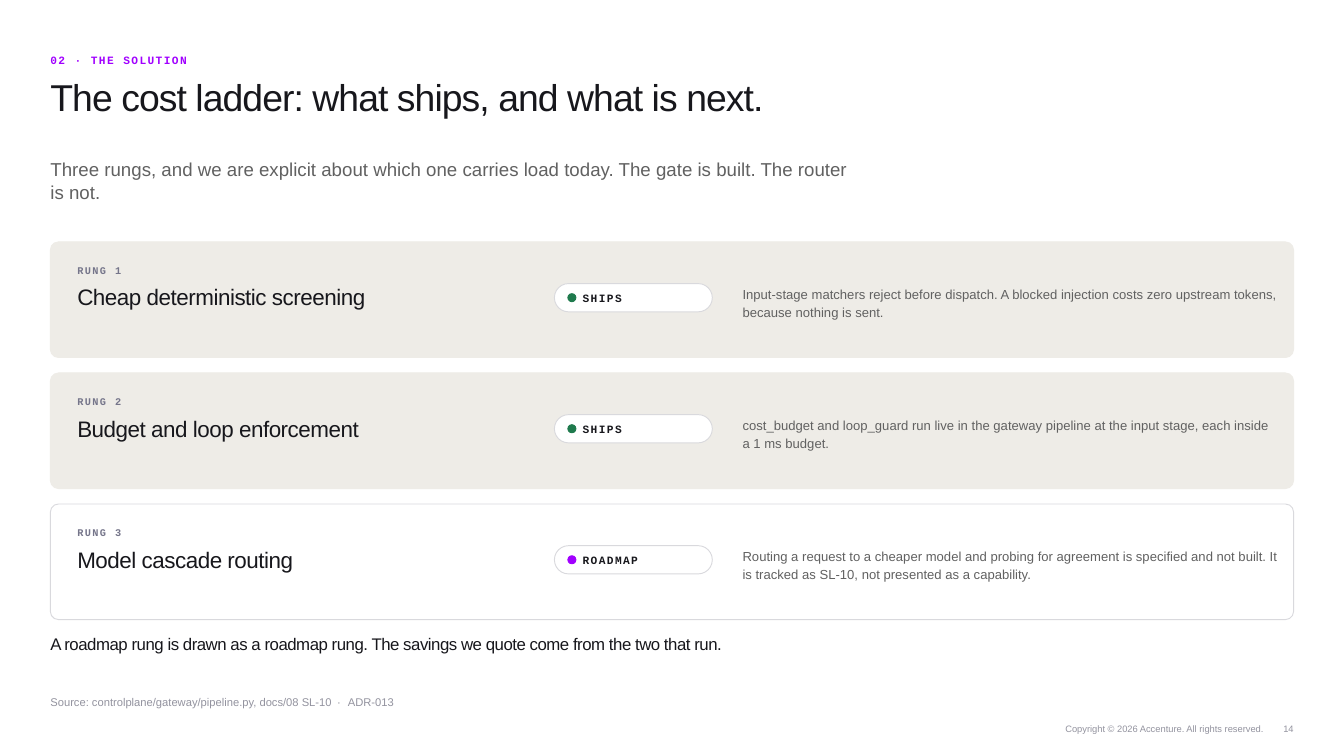
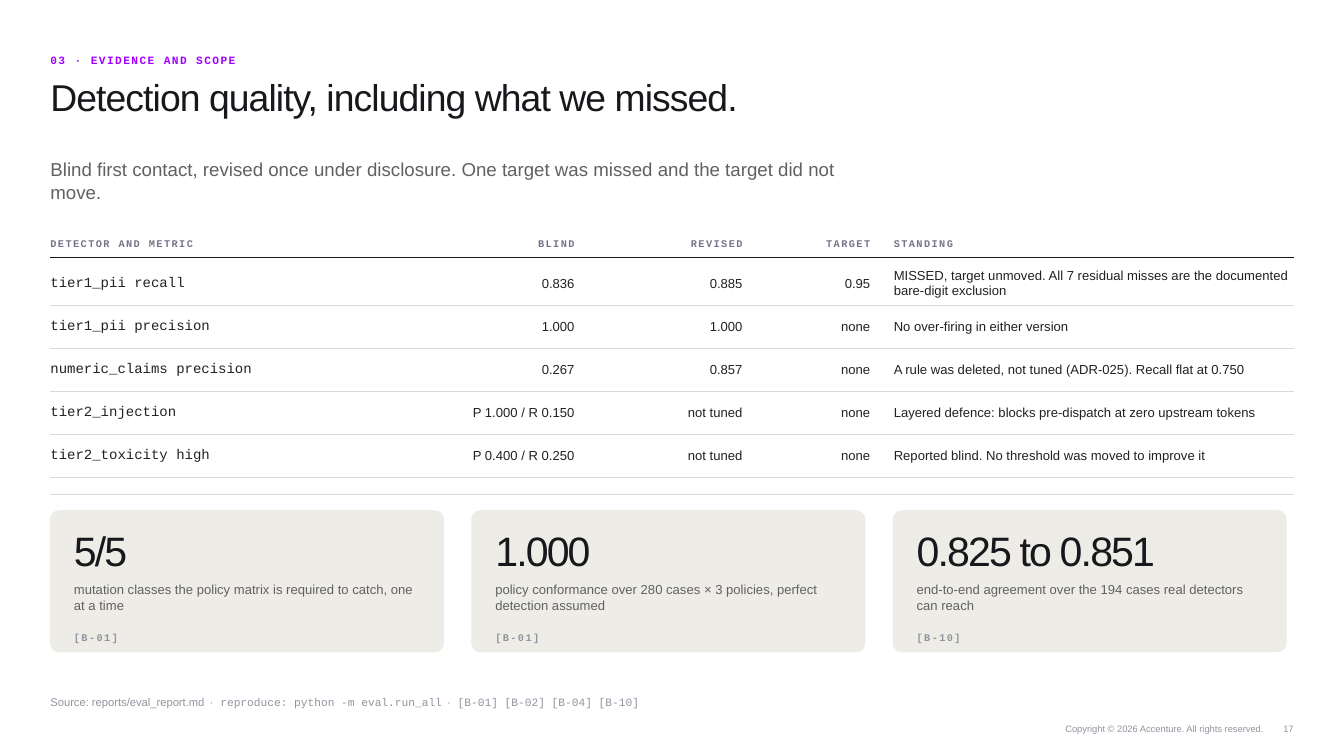
from collections import namedtuple
from itertools import accumulate

from lxml.etree import SubElement
from pptx import Presentation
from pptx.dml.color import RGBColor
from pptx.enum.shapes import MSO_CONNECTOR, MSO_SHAPE
from pptx.enum.text import MSO_ANCHOR, MSO_AUTO_SIZE, PP_ALIGN
from pptx.oxml.ns import qn
from pptx.util import Inches, Pt

# Content
LADDER = dict(
    label="02 · THE SOLUTION",
    title="The cost ladder: what ships, and what is next.",
    lead="Three rungs, and we are explicit about which one carries load today. "
         "The gate is built. The router is not.",
    source=[("Source: controlplane/gateway/pipeline.py, docs/08 SL-10", "source"),
            ("ADR-013", "source")],
    page="14")
RUNGS = [
    ("Cheap deterministic screening", "SHIPS",
     "Input-stage matchers reject before dispatch. A blocked injection costs zero "
     "upstream tokens, because nothing is sent."),
    ("Budget and loop enforcement", "SHIPS",
     "cost_budget and loop_guard run live in the gateway pipeline at the input stage, "
     "each inside a 1 ms budget."),
    ("Model cascade routing", "ROADMAP",
     "Routing a request to a cheaper model and probing for agreement is specified and "
     "not built. It is tracked as SL-10, not presented as a capability."),
]
CLOSING = ("A roadmap rung is drawn as a roadmap rung. "
           "The savings we quote come from the two that run.")

QUALITY = dict(
    label="03 · EVIDENCE AND SCOPE",
    title="Detection quality, including what we missed.",
    lead="Blind first contact, revised once under disclosure. "
         "One target was missed and the target did not move.",
    source=[("Source: reports/eval_report.md", "source"),
            ("reproduce: python -m eval.run_all", "command"),
            ("[B-01] [B-02] [B-04] [B-10]", "command")],
    page="17")
METRICS = [
    ("DETECTOR AND METRIC", "BLIND", "REVISED", "TARGET", "STANDING"),
    ("tier1_pii recall", "0.836", "0.885", "0.95",
     "MISSED, target unmoved. All 7 residual misses are the documented bare-digit exclusion"),
    ("tier1_pii precision", "1.000", "1.000", "none", "No over-firing in either version"),
    ("numeric_claims precision", "0.267", "0.857", "none",
     "A rule was deleted, not tuned (ADR-025). Recall flat at 0.750"),
    ("tier2_injection", "P 1.000 / R 0.150", "not tuned", "none",
     "Layered defence: blocks pre-dispatch at zero upstream tokens"),
    ("tier2_toxicity high", "P 0.400 / R 0.250", "not tuned", "none",
     "Reported blind. No threshold was moved to improve it"),
]
STATS = [
    ("5/5", "mutation classes the policy matrix is required to catch, one at a time", "[B-01]"),
    ("1.000", "policy conformance over 280 cases × 3 policies, perfect detection assumed",
     "[B-01]"),
    ("0.825 to 0.851", "end-to-end agreement over the 194 cases real detectors can reach",
     "[B-10]"),
]
RIGHTS = "Copyright © 2026 Accenture. All rights reserved."

# Theme: colours, then type styles
Style = namedtuple("Style", "size color font bold spacing", defaults=("Arial", False, 0))
MONO = "Courier New"


class Theme:
    white, sand, rule = "FFFFFF", "EEECE7", "D9D9DD"
    ink, text, body = "17171C", "212121", "616161"
    slate, mute = "75758A", "93939F"
    purple, green = "A100FF", "1F7A4D"
    type = dict(
        label=Style(12, purple, MONO, True, 1.5),
        title=Style(40, ink, spacing=-1),
        lead=Style(20, body),
        small=Style(11, slate, MONO, True, 1.5),
        name=Style(24, ink, spacing=-0.5),
        badge=Style(12, ink, MONO, True, 1.5),
        note=Style(14, body),
        closing=Style(18, ink, spacing=-0.5),
        code=Style(15, text, MONO),
        value=Style(14, text),
        figure=Style(44, ink, spacing=-2),
        ref=Style(11, mute, MONO, True, 1.5),
        source=Style(12, mute),
        command=Style(12, mute, MONO),
        dot=Style(12, mute, spacing=2),
        footer=Style(10, mute))


LEFT, WIDTH = 0.75, 18.5
MIDDLE, TOP = MSO_ANCHOR.MIDDLE, MSO_ANCHOR.TOP
START, END = PP_ALIGN.LEFT, PP_ALIGN.RIGHT


# Helpers
def rgb(color):
    return RGBColor.from_string(color)


def style_run(run, key):
    style = Theme.type[key]
    font = run.font
    font.size, font.name, font.bold = Pt(style.size), style.font, style.bold
    font.color.rgb = rgb(style.color)
    if style.spacing:
        font._element.set("spc", str(round(style.spacing * 100)))


def write(frame, text, key, align=START):
    frame.text = text
    para = frame.paragraphs[0]
    para.alignment = align
    for run in para.runs:
        style_run(run, key)
    return para


def set_frame(frame, anchor):
    frame.word_wrap = True
    frame.auto_size = MSO_AUTO_SIZE.NONE
    frame.vertical_anchor = anchor
    frame.margin_left = frame.margin_right = frame.margin_top = frame.margin_bottom = 0


def add_text(slide, spot, text, key, align=START, anchor=MIDDLE):
    box = slide.shapes.add_textbox(*map(Inches, spot))
    set_frame(box.text_frame, anchor)
    return write(box.text_frame, text, key, align)


def fill_holder(holder, spot, text, key):
    holder.left, holder.top, holder.width, holder.height = map(Inches, spot)
    set_frame(holder.text_frame, TOP)
    para = write(holder.text_frame, text, key)
    props = para._p.get_or_add_pPr()
    props.set("marL", "0")
    props.set("indent", "0")
    SubElement(props, qn("a:buNone"))
    para.space_before = Pt(0)
    para.line_spacing = 1.0


def add_shape(slide, kind, spot, fill, line, round_by=None):
    shape = slide.shapes.add_shape(kind, *map(Inches, spot))
    shape.shadow.inherit = False
    shape.fill.solid()
    shape.fill.fore_color.rgb = rgb(fill)
    shape.line.color.rgb = rgb(line)
    shape.line.width = Pt(1)
    if round_by is not None:
        shape.adjustments[0] = round_by


def add_rule(slide, top, color=Theme.rule):
    rule = slide.shapes.add_connector(
        MSO_CONNECTOR.STRAIGHT, *map(Inches, (LEFT, top, LEFT + WIDTH, top)))
    rule.line.color.rgb = rgb(color)
    rule.line.width = Pt(0.75)
    SubElement(rule._element.spPr, qn("a:effectLst"))


# Shared page: label, title, lead, source and footer
def add_page(deck, page):
    slide = deck.slides.add_slide(deck.slide_layouts[1])
    title, lead = slide.placeholders
    add_text(slide, (LEFT, 0.75, 12, 0.3), page["label"], "label")
    fill_holder(title, (LEFT, 1.1, 14, 1.1), page["title"], "title")
    fill_holder(lead, (LEFT, 2.35, 12, 0.8), page["lead"], "lead")
    para = add_text(slide, (LEFT, 10.3, 17, 0.3), "", "source")
    for i, (text, key) in enumerate(page["source"]):
        for part, look in ([(" · ", "dot")] if i else []) + [(text, key)]:
            run = para.add_run()
            run.text = part
            style_run(run, look)
    add_text(slide, (13.2, 10.7, 5.6, 0.3), RIGHTS, "footer", END)
    add_text(slide, (18.9, 10.7, 0.35, 0.3), page["page"], "footer", END)
    return slide


# Cost ladder
def add_rung(slide, num, name, state, note):
    top = 3.6 + 1.95 * (num - 1)
    ships = state == "SHIPS"
    fill, line = (Theme.sand, Theme.sand) if ships else (Theme.white, Theme.rule)
    dot = Theme.green if ships else Theme.purple
    add_shape(slide, MSO_SHAPE.ROUNDED_RECTANGLE, (LEFT, top, WIDTH, 1.72), fill, line, 0.07)
    add_text(slide, (1.15, top + 0.28, 2, 0.3), f"RUNG {num}", "small")
    add_text(slide, (1.15, top + 0.62, 6.6, 0.75), name, "name", anchor=TOP)
    add_shape(slide, MSO_SHAPE.ROUNDED_RECTANGLE, (8.25, top + 0.62, 2.35, 0.42),
              Theme.white, Theme.rule, 0.5)
    add_shape(slide, MSO_SHAPE.OVAL, (8.45, top + 0.77, 0.12, 0.12), dot, dot)
    add_text(slide, (8.67, top + 0.62, 1.85, 0.42), state, "badge")
    add_text(slide, (11.05, top + 0.35, 8, 1.1), note, "note").line_spacing = 1.12


def build_ladder(deck):
    slide = add_page(deck, LADDER)
    for num, rung in enumerate(RUNGS, 1):
        add_rung(slide, num, *rung)
    add_text(slide, (LEFT, 9.35, 17, 0.45), CLOSING, "closing")


# Detection quality
def add_metrics(slide):
    top = 3.45
    widths = (5.3, 2.5, 2.5, 1.9, 6.3)
    heights = (0.38, 0.71) + (0.64,) * (len(METRICS) - 2)
    table = slide.shapes.add_table(
        len(METRICS), len(widths),
        *map(Inches, (LEFT, top, sum(widths), sum(heights)))).table
    table.first_row = table.horz_banding = False
    # "No Style, No Grid"
    table._tbl.tblPr.find(qn("a:tableStyleId")).text = "{2D5ABB26-0587-4C30-8999-92F81FD0307C}"
    for col, width in zip(table.columns, widths):
        col.width = Inches(width)
    for r, (row, height) in enumerate(zip(METRICS, heights)):
        table.rows[r].height = Inches(height)
        for c, text in enumerate(row):
            key = "small" if r == 0 else "code" if c == 0 else "value"
            cell = table.cell(r, c)
            cell.fill.background()
            cell.vertical_anchor = MIDDLE
            cell.margin_left = Inches(0.35 if c == 4 else 0)
            cell.margin_right = cell.margin_bottom = 0
            cell.margin_top = Inches((0.07 if r == 1 else 0) + (0.02 if key == "code" else 0))
            write(cell.text_frame, text, key, END if c in (1, 2, 3) else START)
    # One rule under each row
    for r, depth in enumerate(accumulate(heights)):
        add_rule(slide, top + depth, Theme.rule if r else Theme.ink)


def add_stat(slide, index, figure, note, ref):
    left = LEFT + 6.27 * index
    add_shape(slide, MSO_SHAPE.ROUNDED_RECTANGLE, (left, 7.6, 5.85, 2.1),
              Theme.sand, Theme.sand, 0.06)
    inner = left + 0.35
    add_text(slide, (inner, 7.82, 5.15, 0.85), figure, "figure", anchor=TOP)
    add_text(slide, (inner, 8.65, 5.15, 0.66), note, "note", anchor=TOP)
    add_text(slide, (inner, 9.34, 5.15, 0.28), ref, "ref")


def build_quality(deck):
    slide = add_page(deck, QUALITY)
    add_metrics(slide)
    add_rule(slide, 7.35)
    for index, stat in enumerate(STATS):
        add_stat(slide, index, *stat)


def main():
    deck = Presentation()
    deck.slide_width, deck.slide_height = Inches(20), Inches(11.25)
    build_ladder(deck)
    build_quality(deck)
    deck.save("out.pptx")


if __name__ == "__main__":
    main()
